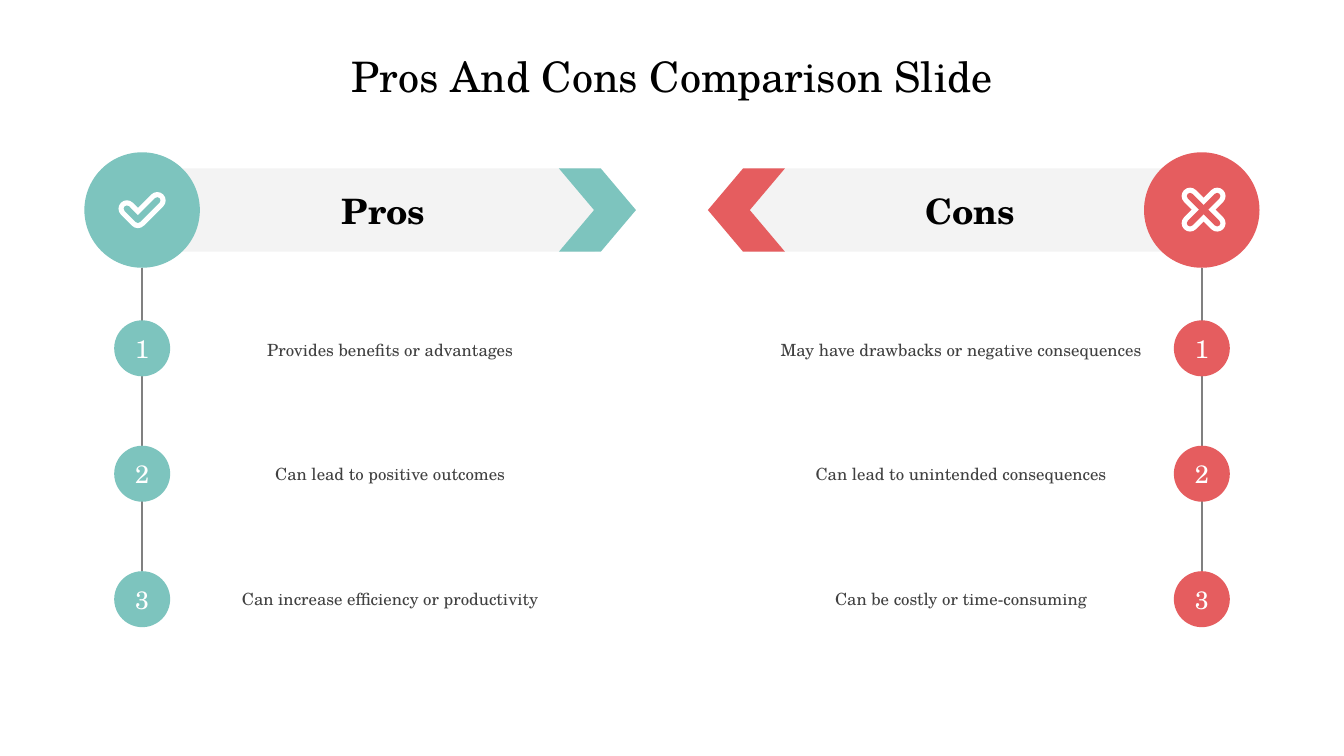
from dataclasses import dataclass

from pptx import Presentation
from pptx.dml.color import RGBColor
from pptx.enum.shapes import MSO_CONNECTOR as Connector, MSO_SHAPE as Preset
from pptx.enum.text import MSO_ANCHOR as Anchor, PP_ALIGN as Align
from pptx.oxml.ns import qn
from pptx.util import Pt
from lxml.etree import SubElement


@dataclass(frozen=True)
class Theme:
    font: str = "TeX Gyre Schola"
    black: str = "000000"
    white: str = "FFFFFF"
    body: str = "404040"
    banner: str = "F3F3F3"
    rail: str = "808080"
    teal: str = "7DC4BE"
    red: str = "E55D5F"
    title_size: float = 30
    heading_size: float = 25
    number_size: float = 18
    body_size: float = 12


@dataclass(frozen=True)
class Box:
    left: float
    top: float
    width: float
    height: float

    def points(self):
        return [Pt(value) for value in (self.left, self.top, self.width, self.height)]


@dataclass(frozen=True)
class Side:
    heading: str
    accent: str
    mirrored: bool
    icon: tuple  # strokes, in points from the centre of the badge
    label_offset: float
    labels: tuple


THEME = Theme()
BADGE = 82.5
BANNER_HEIGHT = 59.4
DOT = 40
FIRST_DOT = 120
DOT_PITCH = 89.6
FIRST_LABEL = 130.3
LABEL_PITCH = 88.9

CHECK = (((-10.9, -1), (-3, 6.9), (10.8, -6.9)),)
CROSS = (((-8.4, -10), (11, 9.4)), ((-8.4, 9.4), (11, -10)))

PROS = Side("Pros", THEME.teal, False, CHECK, 72, (
    "Provides benefits or advantages",
    "Can lead to positive outcomes",
    "Can increase efficiency or productivity",
))
CONS = Side("Cons", THEME.red, True, CROSS, 66.6, (
    "May have drawbacks or negative consequences",
    "Can lead to unintended consequences",
    "Can be costly or time-consuming",
))


def write(shape, text, size, color, bold=False):
    frame = shape.text_frame
    frame.word_wrap = True
    para = frame.paragraphs[0]
    para.text = text
    para.alignment = Align.CENTER
    para.font.name = THEME.font
    para.font.size = Pt(size)
    para.font.bold = bold
    para.font.color.rgb = RGBColor.from_string(color)
    return frame


def add_text(page, box, text, size, color):
    write(page.shapes.add_textbox(*box.points()), text, size, color)


def add_filled(page, preset, box, color, mirrored=False, adjustment=None):
    shape = page.shapes.add_shape(preset, *box.points())
    shape.shadow.inherit = False
    shape.fill.solid()
    shape.fill.fore_color.rgb = RGBColor.from_string(color)
    shape.line.fill.background()
    if mirrored:
        shape.element.spPr.find(qn("a:xfrm")).set("flipH", "1")
    if adjustment is not None:
        shape.adjustments[0] = adjustment
    return shape


def add_rail(page, x, top, bottom):
    rail = page.shapes.add_connector(Connector.STRAIGHT, Pt(x), Pt(top), Pt(x), Pt(bottom))
    rail.line.color.rgb = RGBColor.from_string(THEME.rail)
    rail.line.width = Pt(1.5)
    SubElement(rail.element.spPr, qn("a:effectLst"))


def add_strokes(page, center_x, center_y, strokes, width, color):
    """Draw open strokes with round ends and joints."""
    placed = [[(Pt(center_x + x), Pt(center_y + y)) for x, y in stroke] for stroke in strokes]
    builder = page.shapes.build_freeform(*placed[0][0])
    for start, *rest in placed:
        builder.move_to(*start)
        builder.add_line_segments(rest, close=False)
    shape = builder.convert_to_shape()
    shape.shadow.inherit = False
    shape.fill.background()
    shape.line.color.rgb = RGBColor.from_string(color)
    shape.line.width = Pt(width)
    outline = shape.element.spPr.find(qn("a:ln"))
    outline.set("cap", "rnd")
    SubElement(outline, qn("a:round"))


def add_side(page, box, side):
    """Fill a column from its outer edge inward."""
    def place(offset, top, width, height):
        left = box.left + offset
        if side.mirrored:
            left = box.left + box.width - offset - width
        return Box(left, box.top + top, width, height)

    badge = place(0, 0, BADGE, BADGE)
    center_x = badge.left + BADGE / 2
    center_y = badge.top + BADGE / 2
    add_rail(page, center_x, badge.top + BADGE, box.top + FIRST_DOT + 2 * DOT_PITCH)

    banner_top = (BADGE - BANNER_HEIGHT) / 2
    banner_width = box.width - BADGE / 2
    banner = add_filled(page, Preset.PENTAGON,
                        place(BADGE / 2, banner_top, banner_width, BANNER_HEIGHT),
                        THEME.banner, side.mirrored, 0.5)
    frame = write(banner, side.heading, THEME.heading_size, THEME.black, bold=True)
    frame.vertical_anchor = Anchor.MIDDLE
    frame.margin_right = 0
    tip = 55
    add_filled(page, Preset.CHEVRON, place(box.width - tip, banner_top, tip, BANNER_HEIGHT),
               side.accent, side.mirrored, 0.456)

    add_filled(page, Preset.OVAL, badge, side.accent)
    for width, color in ((12, THEME.white), (4.6, side.accent)):
        add_strokes(page, center_x, center_y, side.icon, width, color)

    for index, label in enumerate(side.labels):
        dot = add_filled(page, Preset.OVAL,
                         place((BADGE - DOT) / 2, FIRST_DOT + index * DOT_PITCH, DOT, DOT),
                         side.accent)
        frame = write(dot, str(index + 1), THEME.number_size, THEME.white)
        frame.vertical_anchor = Anchor.MIDDLE
        add_text(page, place(side.label_offset, FIRST_LABEL + index * LABEL_PITCH, 293, 26),
                 label, THEME.body_size, THEME.body)


def main():
    deck = Presentation()
    deck.slide_width, deck.slide_height = Pt(960), Pt(540)
    page = deck.slides.add_slide(deck.slide_layouts[6])
    add_text(page, Box(0, 32.4, 960, 44), "Pros And Cons Comparison Slide",
             THEME.title_size, THEME.black)
    column_width, margin = 394, 60.3
    add_side(page, Box(margin, 108.8, column_width, 340), PROS)
    add_side(page, Box(960 - margin - column_width, 108.8, column_width, 340), CONS)
    deck.save("out.pptx")


if __name__ == "__main__":
    main()
